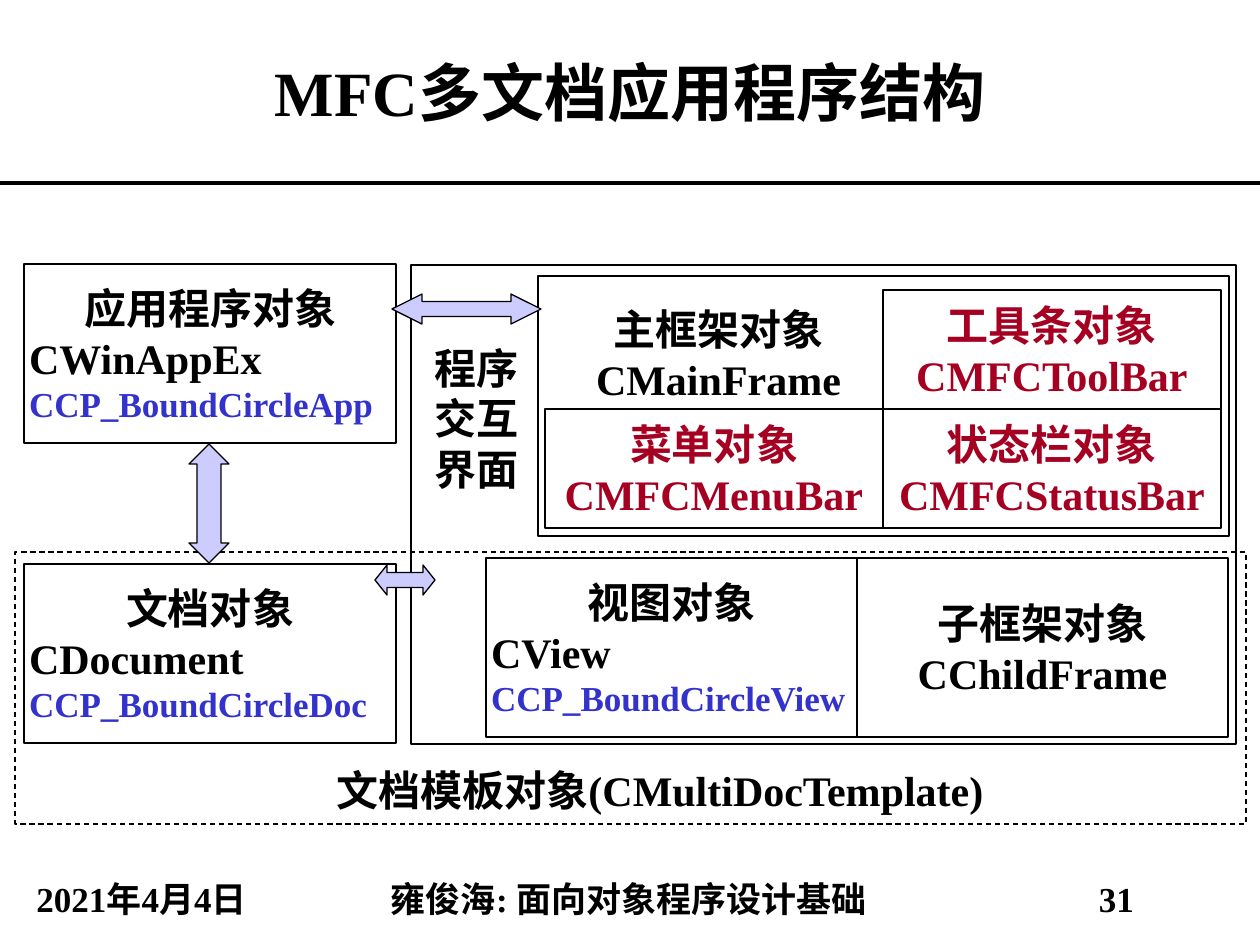
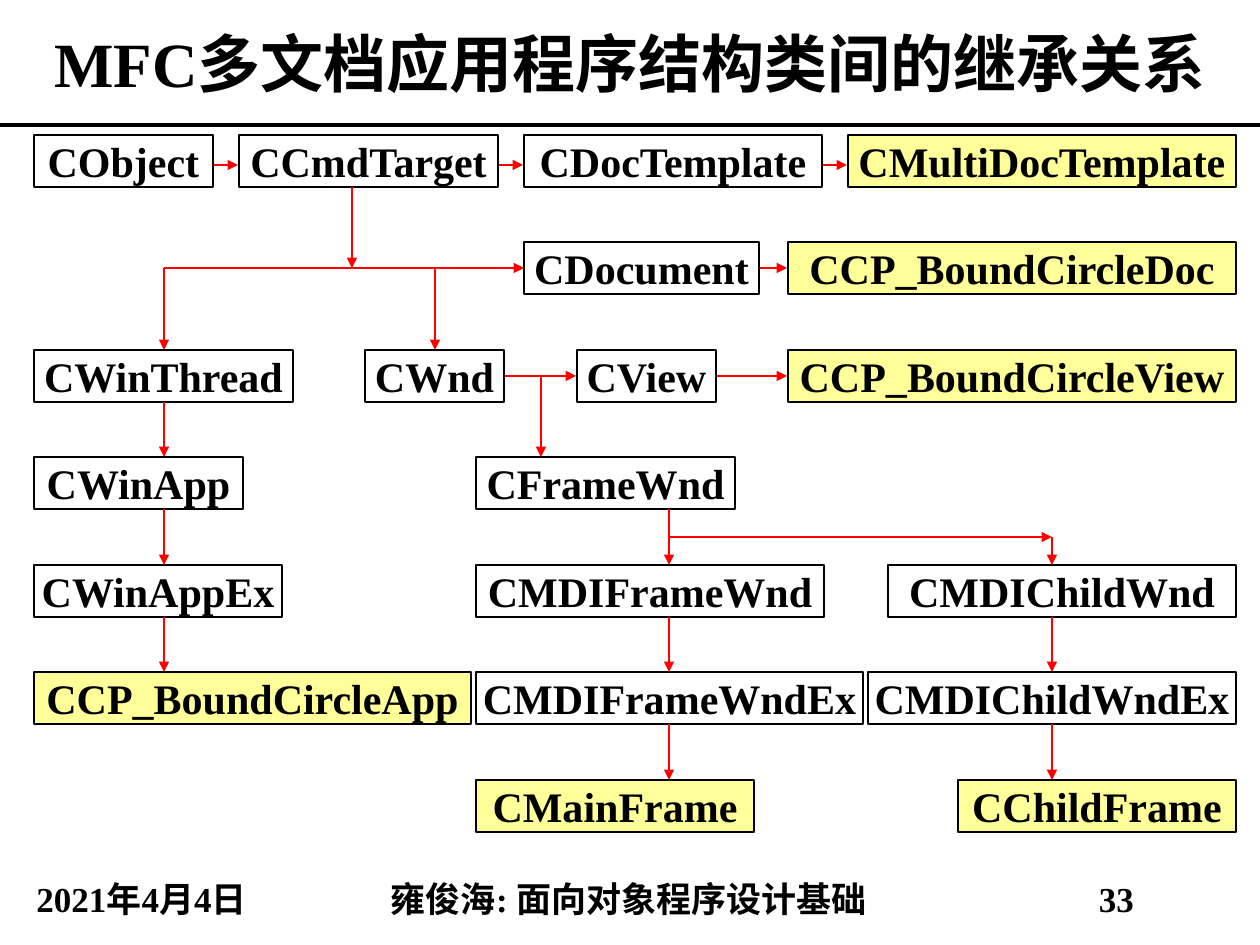
from dataclasses import dataclass

from lxml import etree
from pptx import Presentation
from pptx.dml.color import RGBColor
from pptx.enum.dml import MSO_LINE
from pptx.enum.shapes import MSO_CONNECTOR, MSO_SHAPE
from pptx.enum.text import MSO_ANCHOR, PP_ALIGN
from pptx.oxml.ns import qn
from pptx.util import Emu, Pt

PX = 914400 / 126
SLIDE_W, SLIDE_H = 1260, 945
TITLE_ONLY = 5
CENTER, LEFT = PP_ALIGN.CENTER, PP_ALIGN.LEFT
MIDDLE = MSO_ANCHOR.MIDDLE
RECT = MSO_SHAPE.RECTANGLE
ACROSS, UPRIGHT = MSO_SHAPE.LEFT_RIGHT_ARROW, MSO_SHAPE.UP_DOWN_ARROW


@dataclass(frozen=True)
class Theme:
    font: str = "Times New Roman"
    ink: str = "000000"
    own_class: str = "3333CC"
    widget: str = "A50021"
    arrow_fill: str = "CCCCFF"
    highlight: str = "FFFF99"
    inherit: str = "FF0000"
    title: int = 36
    body: int = 24
    small: int = 20
    outline: float = 0.75
    rule: float = 2.25
    inherit_width: float = 1.5


THEME = Theme()
DATE = "2021年4月4日"
COURSE = "雍俊海: 面向对象程序设计基础"


def px(*lengths):
    return [Emu(round(n * PX)) for n in lengths]


def rgb(color):
    return RGBColor.from_string(color)


def line(text, size=THEME.body, color=THEME.ink, align=CENTER):
    """One paragraph's text and look, for write()."""
    return text, size, color, align


def write(frame, lines, wrap=True, spacing=None):
    frame.word_wrap = wrap
    frame.vertical_anchor = MIDDLE
    frame.margin_left, frame.margin_right = px(5, 5)
    frame.margin_top = frame.margin_bottom = 0
    for i, (text, size, color, align) in enumerate(lines):
        paragraph = frame.add_paragraph() if i else frame.paragraphs[0]
        paragraph.alignment = align
        if spacing:
            paragraph.line_spacing = spacing
        run = paragraph.add_run()
        run.text = text
        run.font.name = THEME.font
        run.font.size = Pt(size)
        run.font.bold = True
        run.font.color.rgb = rgb(color)


def label(slide, box, *lines, spacing=None):
    write(slide.shapes.add_textbox(*px(*box)).text_frame, lines, spacing=spacing)


def outlined(slide, box, *lines, kind=RECT, fill=None):
    shape = slide.shapes.add_shape(kind, *px(*box))
    shape.shadow.inherit = False
    if fill:
        shape.fill.solid()
        shape.fill.fore_color.rgb = rgb(fill)
    else:
        shape.fill.background()
    shape.line.color.rgb = rgb(THEME.ink)
    shape.line.width = Pt(THEME.outline)
    if lines:
        write(shape.text_frame, lines, wrap=False)
    return shape


def double_arrow(slide, kind, box, head):
    arrow = outlined(slide, box, kind=kind, fill=THEME.arrow_fill)
    arrow.adjustments[0] = 0.5
    arrow.adjustments[1] = head


def stroke(slide, start, end, color, width):
    connector = slide.shapes.add_connector(MSO_CONNECTOR.STRAIGHT, *px(*start, *end))
    connector.line.color.rgb = rgb(color)
    connector.line.width = Pt(width)
    etree.SubElement(connector._element.spPr, qn("a:effectLst"))
    return connector


def inherit_arrow(slide, start, end):
    connector = stroke(slide, start, end, THEME.inherit, THEME.inherit_width)
    head = etree.SubElement(connector.line._get_or_add_ln(), qn("a:tailEnd"))
    head.set("type", "triangle")


def base_slide(deck, title, number, title_height):
    """Slide with its title, the rule below it and the footer."""
    slide = deck.slides.add_slide(deck.slide_layouts[TITLE_ONLY])
    heading = slide.shapes.title
    heading.left, heading.top, heading.width, heading.height = px(
        0, 0, SLIDE_W, title_height)
    write(heading.text_frame, [line(title, THEME.title)])
    stroke(slide, (0, title_height), (SLIDE_W, title_height), THEME.ink, THEME.rule)
    for left, width, text in ((0, 283, DATE), (283, 692, COURSE), (975, 283, number)):
        label(slide, (left, 876, width, 50), line(text, THEME.small), spacing=0.9)
    return slide


def object_box(slide, box, role, base, derived):
    outlined(slide, box, line(role), line(base, align=LEFT),
             line(derived, THEME.small, THEME.own_class, LEFT))


def main_frame(slide, box):
    """Main frame with its heading and the three widgets in a 2 x 2 grid."""
    left, top = box[:2]
    cell_w, cell_h = 338, 119
    grid_x, grid_y = left + 7, top + 14
    outlined(slide, box)
    label(slide, (grid_x + 2, grid_y, 343, 127), line("主框架对象"), line("CMainFrame"))
    for col, row, role, name in ((0, 1, "菜单对象", "CMFCMenuBar"),
                                 (1, 0, "工具条对象", "CMFCToolBar"),
                                 (1, 1, "状态栏对象", "CMFCStatusBar")):
        cell = (grid_x + col * cell_w, grid_y + row * cell_h, cell_w, cell_h)
        outlined(slide, cell, line(role, color=THEME.widget),
                 line(name, color=THEME.widget))


def user_interface(slide, box):
    left, top = box[:2]
    outlined(slide, box)
    label(slide, (left + 19, top + 29, 101, 248), line("程序交互界面", align=LEFT))
    main_frame(slide, (left + 127, top + 11, 691, 260))
    view_x, view_y, view_w, view_h = left + 75, top + 293, 371, 179
    object_box(slide, (view_x, view_y, view_w, view_h),
               "视图对象", "CView", "CCP_BoundCircleView")
    outlined(slide, (view_x + view_w, view_y, view_w, view_h),
             line("子框架对象"), line("CChildFrame"))


def document_template(slide, box):
    left, top = box[:2]
    outlined(slide, box).line.dash_style = MSO_LINE.DASH
    object_box(slide, (left + 9, top + 12, 372, 179),
               "文档对象", "CDocument", "CCP_BoundCircleDoc")
    label(slide, (left + 149, top + 208, 992, 59),
          line("文档模板对象(CMultiDocTemplate)"))


def structure_slide(deck):
    slide = base_slide(deck, "MFC多文档应用程序结构", "31", 183)
    object_box(slide, (24, 264, 372, 179),
               "应用程序对象", "CWinAppEx", "CCP_BoundCircleApp")
    user_interface(slide, (411, 265, 825, 479))
    document_template(slide, (15, 552, 1231, 272))
    double_arrow(slide, ACROSS, (375, 565, 60, 30), 0.4)
    double_arrow(slide, UPRIGHT, (189, 444, 40, 119), 0.6)
    double_arrow(slide, ACROSS, (392, 294, 149, 30), 1)


# Each row lists class, left, width and whether it is highlighted.
CLASS_ROWS = (
    (("CObject", 0, 179, False), ("CCmdTarget", 205, 259, False),
     ("CDocTemplate", 490, 298, False), ("CMultiDocTemplate", 814, 388, True)),
    (("CDocument", 490, 235, False), ("CCP_BoundCircleDoc", 754, 448, True)),
    (("CWinThread", 0, 259, False), ("CWnd", 331, 139, False),
     ("CView", 543, 139, False), ("CCP_BoundCircleView", 754, 448, True)),
    (("CWinApp", 0, 209, False), ("CFrameWnd", 442, 259, False)),
    (("CWinAppEx", 0, 248, False), ("CMDIFrameWnd", 442, 348, False),
     ("CMDIChildWnd", 854, 348, False)),
    (("CCP_BoundCircleApp", 0, 437, True), ("CMDIFrameWndEx", 442, 387, False),
     ("CMDIChildWndEx", 834, 368, False)),
    (("CMainFrame", 442, 278, True), ("CChildFrame", 924, 278, True)),
)
CLASS_H = 52
SIBLING_AXES = (30, 133, 241)
THREAD_X, FRAME_X, CHILD_X = 130, 635, 1018


def row_top(row):
    return row * 215 // 2


def class_tree(slide, left, top):
    def arrow(x1, y1, x2, y2):
        inherit_arrow(slide, (left + x1, top + y1), (left + x2, top + y2))

    for row, classes in enumerate(CLASS_ROWS):
        for name, x, width, highlighted in classes:
            outlined(slide, (left + x, top + row_top(row), width, CLASS_H), line(name),
                     fill=THEME.highlight if highlighted else None)

    for classes, axis in zip(CLASS_ROWS, SIBLING_AXES):
        for parent, child in zip(classes, classes[1:]):
            if parent[0] != "CWinThread":
                arrow(parent[1] + parent[2] + 1, axis, child[1] - 1, axis)

    for x, first, last in ((THREAD_X, 2, 5), (FRAME_X, 3, 6), (CHILD_X, 4, 6)):
        for row in range(first, last):
            arrow(x, row_top(row) + CLASS_H, x, row_top(row + 1))

    command_y, view_y, fork_y = SIBLING_AXES[1], SIBLING_AXES[2], 402
    arrow(318, CLASS_H, 318, command_y)
    arrow(THREAD_X, command_y, 490, command_y)
    for x in (THREAD_X, 401):
        arrow(x, command_y, x, row_top(2))
    arrow(507, view_y, 507, row_top(3))
    arrow(FRAME_X, fork_y, CHILD_X, fork_y)
    arrow(CHILD_X, fork_y, CHILD_X, row_top(4))


def inheritance_slide(deck):
    slide = base_slide(deck, "MFC多文档应用程序结构类间的继承关系", "33", 125)
    class_tree(slide, 34, 135)


def main():
    deck = Presentation()
    deck.slide_width, deck.slide_height = px(SLIDE_W, SLIDE_H)
    structure_slide(deck)
    inheritance_slide(deck)
    deck.save("out.pptx")


if __name__ == "__main__":
    main()
